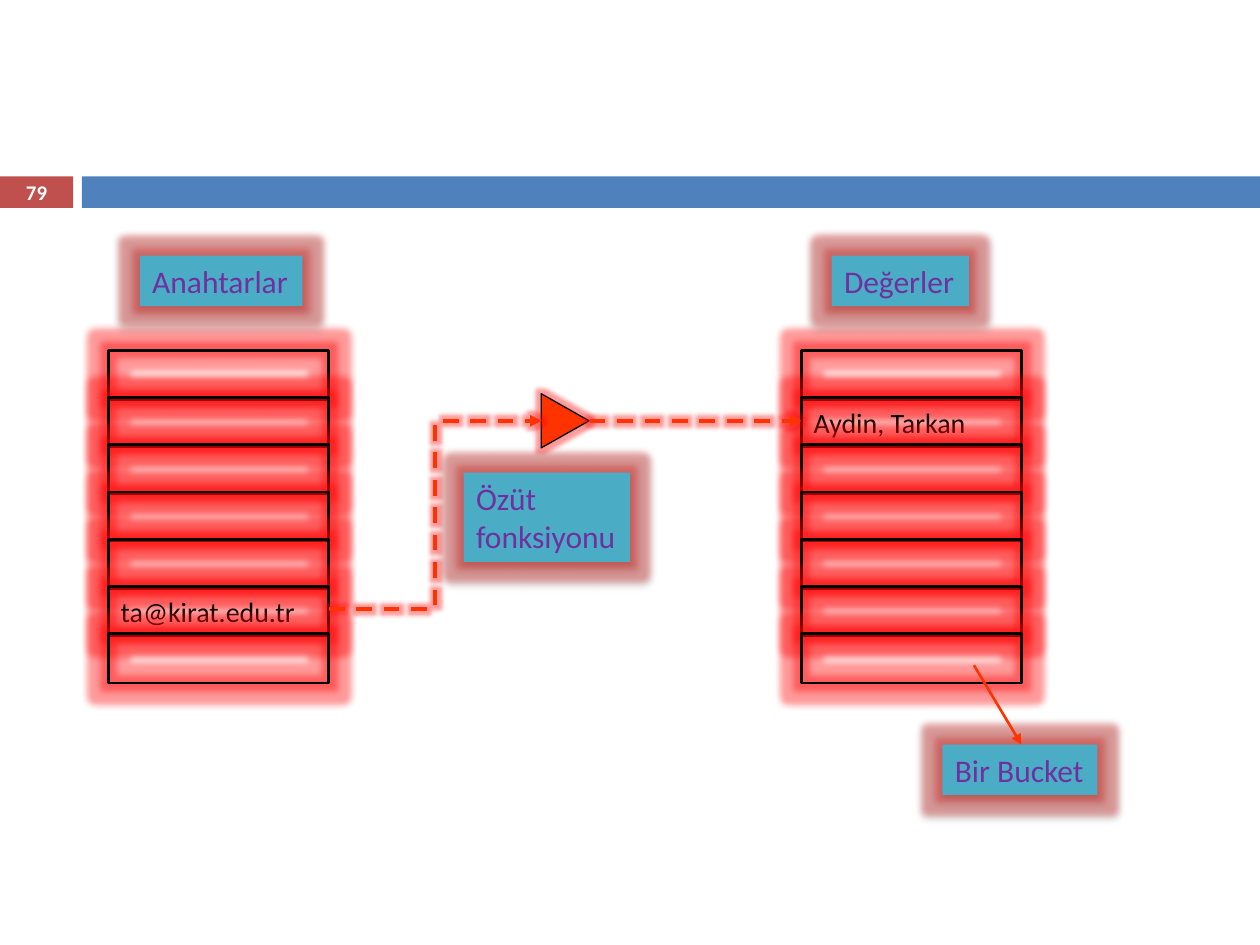
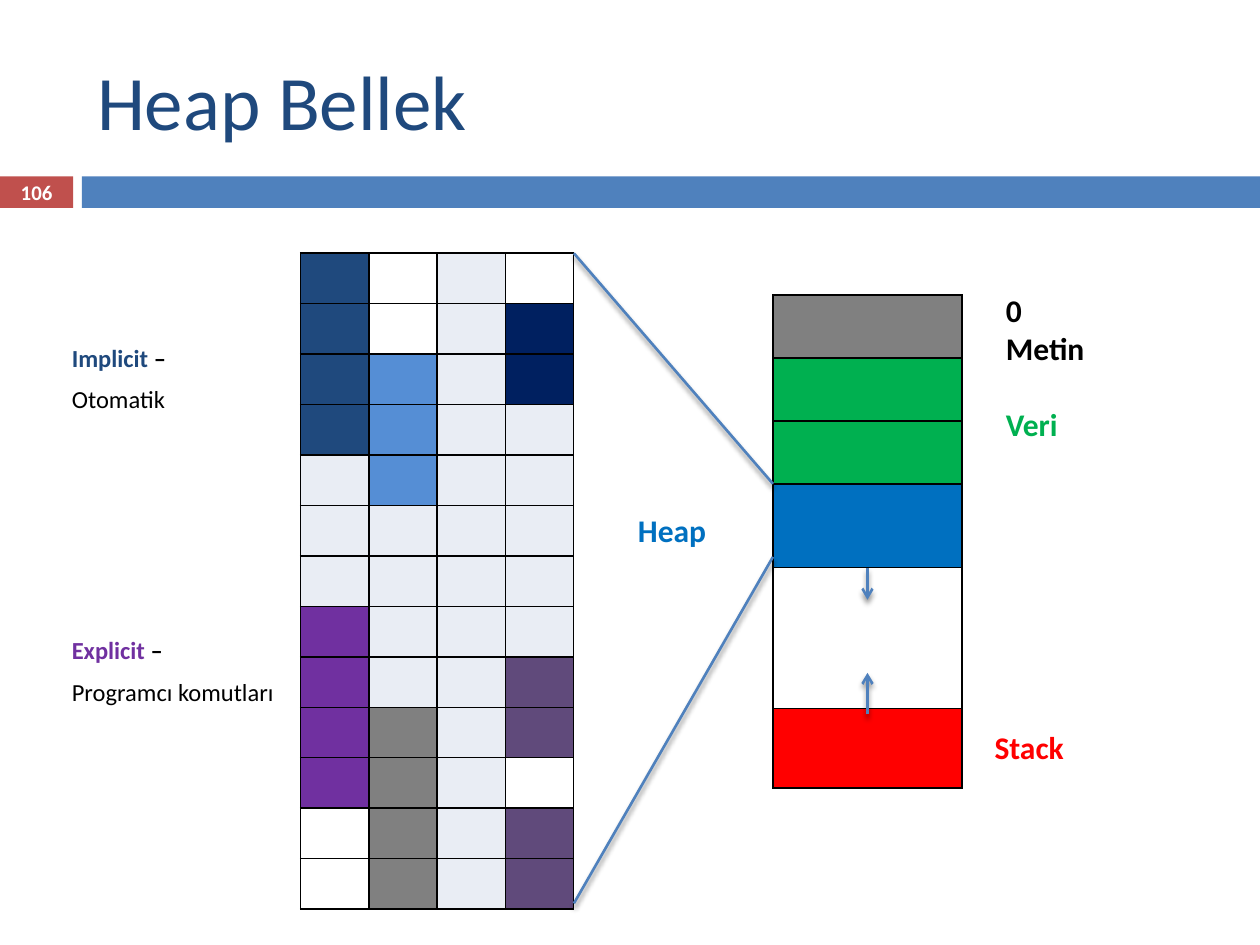
from dataclasses import dataclass

from lxml import etree
from pptx import Presentation
from pptx.dml.color import RGBColor
from pptx.enum.dml import MSO_LINE
from pptx.enum.shapes import MSO_CONNECTOR as Link, MSO_SHAPE as Preset
from pptx.enum.text import MSO_ANCHOR as Anchor, PP_ALIGN as Align
from pptx.oxml.ns import qn
from pptx.util import Inches, Pt

FONT = "Calibri"
BLACK, WHITE, NAVY = "000000", "FFFFFF", "1F497D"
BLUE, BRICK, TEAL, PURPLE = "4F81BD", "C0504D", "4BACC6", "7030A0"
ORANGE, GREEN, HEAP_BLUE, RED, GRAY = "FF3300", "00B050", "0070C0", "FF0000", "808080"

# Grid of the slide: 100 columns by 75 rows
SLIDE_W, SLIDE_H = Inches(10), Inches(7.5)
COLUMN, ROW = SLIDE_W / 100, SLIDE_H / 75

MEMORY_COLOURS = {"n": NAVY, "w": WHITE, ".": "E9EDF4", "d": "002060",
                  "b": "558ED5", "p": PURPLE, "v": "604A7B", "g": GRAY}
HEAP_MAP = ["nw.w", "nw.d", "nb.d", "nb..", ".b..", "....", "....",
            "p...", "p..v", "pg.v", "pg.w", "wg.v", "wg.v"]
SEGMENTS = [(GRAY, 5), (GREEN, 5), (GREEN, 5),
            (HEAP_BLUE, 6.65), (WHITE, 11.2), (RED, 6.3)]


@dataclass
class Box:
    """Area in grid columns and rows."""
    left: float
    top: float
    width: float
    height: float

    def emu(self):
        return (round(self.left * COLUMN), round(self.top * ROW),
                round(self.width * COLUMN), round(self.height * ROW))

    def point(self, across, down):
        return self.left + across * self.width, self.top + down * self.height


def colour(value):
    return RGBColor.from_string(value)


def child(parent, tag, **attributes):
    return etree.SubElement(parent, qn(tag), attributes)


def add_effects(drawn, glow=None, shadow=None):
    """Set glow (colour, radius, opacity) and shadow (opacity, blur, distance)."""
    properties = drawn._element.spPr
    effects = properties.find(qn("a:effectLst"))
    if effects is None:
        effects = child(properties, "a:effectLst")
    if glow:
        shade, radius, opacity = glow
        halo = child(effects, "a:glow", rad=str(Pt(radius)))
        tint = child(halo, "a:srgbClr", val=shade)
        child(tint, "a:alpha", val=str(opacity * 1000))
    if shadow:
        opacity, blur, distance = shadow
        cast = child(effects, "a:outerShdw", blurRad=str(Pt(blur)),
                     dist=str(Pt(distance)), dir="5400000", rotWithShape="0")
        tint = child(cast, "a:srgbClr", val=BLACK)
        child(tint, "a:alpha", val=str(opacity * 1000))


def format_run(run, size, shade, bold=False):
    run.font.name, run.font.size, run.font.bold = FONT, Pt(size), bold
    run.font.color.rgb = colour(shade)


def write(frame, text, size, shade, bold=False, align=Align.LEFT):
    frame.text = text
    for paragraph in frame.paragraphs:
        paragraph.alignment = align
        for run in paragraph.runs:
            format_run(run, size, shade, bold)


def add_block(slide, box, fill=None, line=None, preset=Preset.RECTANGLE):
    """Draw a shape; line is a pair of colour and width."""
    block = slide.shapes.add_shape(preset, *box.emu())
    block.shadow.inherit = False
    if fill:
        block.fill.solid()
        block.fill.fore_color.rgb = colour(fill)
    else:
        block.fill.background()
    if line:
        block.line.color.rgb, block.line.width = colour(line[0]), Pt(line[1])
    else:
        block.line.fill.background()
    return block


def add_text(slide, box, text, size, shade, bold=False):
    frame = slide.shapes.add_textbox(*box.emu()).text_frame
    frame.word_wrap = True
    write(frame, text, size, shade, bold)
    return frame


def add_link(slide, start, end, shade, width, head=None, dashed=False,
             kind=Link.STRAIGHT, **effects):
    ends = [round(v * unit) for v, unit in zip(start + end, (COLUMN, ROW) * 2)]
    link = slide.shapes.add_connector(kind, *ends)
    link.line.color.rgb, link.line.width = colour(shade), Pt(width)
    if dashed:
        link.line.dash_style = MSO_LINE.DASH
    if head:
        child(link.line._get_or_add_ln(), "a:tailEnd", type=head)
    add_effects(link, **effects)


def add_band(slide, box, number):
    page = Box(box.left, box.top, box.width * 0.058, box.height)
    stripe = Box(box.width * 0.065, box.top, box.width * 0.935, box.height)
    add_block(slide, stripe, BLUE)
    frame = add_block(slide, page, BRICK).text_frame
    frame.margin_left = frame.margin_right = 0
    frame.margin_top = frame.margin_bottom = 0
    frame.vertical_anchor = Anchor.MIDDLE
    write(frame, str(number), 11.9, WHITE, True, Align.CENTER)


def add_label(slide, box, text):
    label = add_block(slide, box, TEAL)
    add_effects(label, glow=("D0302C", 8, 40), shadow=(35, 3, 2))
    frame = label.text_frame
    frame.word_wrap = False
    frame.vertical_anchor = Anchor.MIDDLE
    write(frame, text, 18, PURPLE)


def add_buckets(slide, box, entry, entry_row, count=7):
    """Stack equal buckets, one of which holds the entry."""
    pitch = box.height / count
    for row in range(count):
        bucket = add_block(slide, Box(box.left, box.top + row * pitch, box.width, 3.9),
                           line=(BLACK, 1.5))
        add_effects(bucket, glow=(RED, 8, 40))
        if row == entry_row:
            bucket.text_frame.word_wrap = True
            bucket.text_frame.vertical_anchor = Anchor.MIDDLE
            write(bucket.text_frame, entry, 16, BLACK)


def add_colour_table(slide, box, fills, heights):
    """Fill a bordered table with rows of colours."""
    columns = len(fills[0])
    table = slide.shapes.add_table(len(fills), columns, *box.emu()).table
    table.first_row = table.horz_banding = False
    for row, height in zip(table.rows, heights):
        row.height = round(height * ROW)
    for cell, fill in zip(table.iter_cells(), (f for row in fills for f in row)):
        cell.fill.solid()
        cell.fill.fore_color.rgb = colour(fill)
        properties = cell._tc.get_or_add_tcPr()
        for place, side in enumerate(("a:lnL", "a:lnR", "a:lnT", "a:lnB")):
            border = child(properties, side, w=str(Pt(1)))
            child(child(border, "a:solidFill"), "a:srgbClr", val=BLACK)
            properties.insert(place, border)


def add_allocation(slide, box, kind, shade, means):
    frame = add_text(slide, box, f"{kind}\n{means}", 14, BLACK)
    frame.margin_left = frame.margin_top = 0
    first, second = frame.paragraphs
    format_run(first.runs[0], 14, shade, True)
    dash = first.add_run()
    dash.text = " –"
    format_run(dash, 14, BLACK, True)
    second.space_before = Pt(7)


def add_hashing(slide, box):
    keys = Box(box.left, box.top, 17.5, box.height)
    values = Box(box.left + 55, box.top, 17.5, box.height)
    add_buckets(slide, keys, "ta@kirat.edu.tr", 5)
    add_buckets(slide, values, "Aydin, Tarkan", 1)

    level = box.top + 5.6
    triangle = add_block(slide, Box(box.left + 34.1, level - 1.9, 4.3, 3.8), ORANGE,
                         (BLACK, 0.75), Preset.ISOSCELES_TRIANGLE)
    triangle.rotation = 90
    add_effects(triangle, glow=(RED, 5, 40))
    key_exit = (keys.left + keys.width, box.top + 20.5)
    for start, end in ((key_exit, (box.left + 34.4, level)),
                       ((box.left + 38.2, level), (values.left, level))):
        add_link(slide, start, end, ORANGE, 2.25, "triangle", True, Link.ELBOW,
                 glow=(RED, 5, 40))

    add_label(slide, Box(keys.left + 2.5, box.top - 7.5, 12.9, 4), "Anahtarlar")
    add_label(slide, Box(values.left + 2.4, box.top - 7.5, 10.9, 4), "Değerler")
    add_label(slide, Box(box.left + 28.2, box.top + 9.7, 13.2, 7.1), "Özüt\nfonksiyonu")
    bucket_label = Box(values.left + 11.2, box.top + 31.3, 12.3, 4)
    add_label(slide, bucket_label, "Bir Bucket")
    add_link(slide, (values.left + 13.7, box.top + 25), bucket_label.point(0.51, 0),
             ORANGE, 1.5, "triangle")


def add_memory(slide, box):
    heap = Box(box.left, box.top, 21.7, box.height)
    process = Box(box.left + 37.5, box.top + 3.3, 15, 39.1)
    add_colour_table(slide, heap, [[MEMORY_COLOURS[key] for key in row] for row in HEAP_MAP],
                     [box.height / len(HEAP_MAP)] * len(HEAP_MAP))
    add_colour_table(slide, process, [[fill] for fill, _ in SEGMENTS],
                     [height for _, height in SEGMENTS])

    beside = process.left + process.width
    add_text(slide, Box(heap.left + 25.8, box.top + 20, 9.2, 4), "Heap", 18, HEAP_BLUE, True)
    sections = add_text(slide, Box(beside + 2.5, box.top + 2.5, 16.7, 13.1),
                        "0\nMetin\nVeri", 18, BLACK, True)
    data = sections.paragraphs[-1]
    data.space_before = Pt(22)
    format_run(data.runs[0], 18, GREEN, True)
    add_text(slide, Box(beside + 1.6, box.top + 37.15, 15, 4), "Stack", 18, RED, True)

    middle = process.left + process.width / 2
    edge = heap.left + heap.width
    for start, end, head in (
            ((edge, box.top), (process.left, box.top + 18.3), None),
            ((edge, box.top + 51.6), (process.left, box.top + 24.1), None),
            ((middle, box.top + 25), (middle, box.top + 27.5), "arrow"),
            ((middle, box.top + 36.6), (middle, box.top + 33.3), "arrow")):
        add_link(slide, start, end, BLUE, 1.5, head, shadow=(45, 3, 2.4))


def set_title(slide, box, text):
    title = slide.shapes.title
    title.left, title.top, title.width, title.height = box.emu()
    title.text_frame.vertical_anchor = Anchor.MIDDLE
    write(title.text_frame, text, 44, NAVY)


def main():
    deck = Presentation()
    deck.slide_width, deck.slide_height = SLIDE_W, SLIDE_H
    title_only, blank = deck.slide_layouts[5], deck.slide_layouts[6]
    band = Box(0, 14, 100, 2.5)

    hashing = deck.slides.add_slide(blank)
    add_band(hashing, band, 79)
    add_hashing(hashing, Box(8.6, 27.8, 72.5, 26.25))

    memory = deck.slides.add_slide(title_only)
    add_band(memory, band, 106)
    set_title(memory, Box(6.7, 2.5, 89.2, 10.8), "Heap Bellek")
    add_allocation(memory, Box(5.7, 27.2, 18, 6), "Implicit", NAVY, "Otomatik")
    add_allocation(memory, Box(5.7, 50.4, 18, 6), "Explicit", PURPLE, "Programcı komutları")
    add_memory(memory, Box(23.85, 20.1, 52.5, 52))

    deck.save("out.pptx")


if __name__ == "__main__":
    main()
